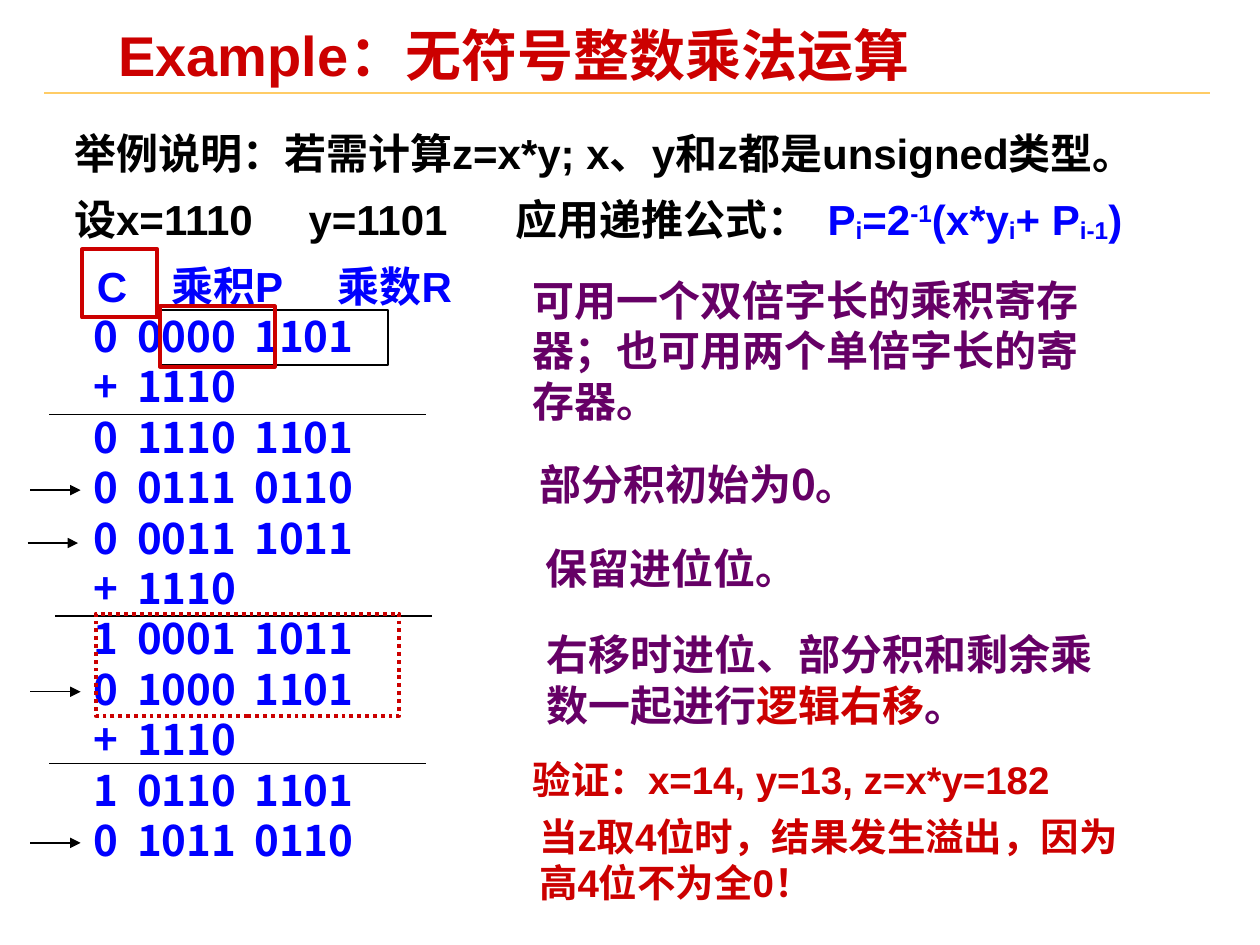
from pptx import Presentation
from pptx.dml.color import RGBColor
from pptx.enum.dml import MSO_LINE
from pptx.enum.shapes import MSO_CONNECTOR, MSO_SHAPE
from pptx.enum.text import MSO_AUTO_SIZE
from pptx.oxml.ns import qn
from pptx.util import Inches, Pt
from lxml.etree import SubElement

BLACK = RGBColor(0, 0, 0)
RED = RGBColor(0xCC, 0, 0)
BLUE = RGBColor(0, 0, 0xFF)
PURPLE = RGBColor(0x66, 0, 0x66)
GOLD = RGBColor(0xFF, 0xCC, 0x66)
ARIAL = "Arial"
TIMES = "Times New Roman"
CJK = "Noto Sans CJK SC"


class Board:
    def __init__(self, slide):
        self.s = slide

    def box(self, x, y, w, h, pad=(0.1, 0.05), wrap=True):
        tf = self.s.shapes.add_textbox(*map(Inches, (x, y, w, h))).text_frame
        tf.margin_left = tf.margin_right = Inches(pad[0])
        tf.margin_top = tf.margin_bottom = Inches(pad[1])
        tf.word_wrap = wrap
        tf.auto_size = MSO_AUTO_SIZE.SHAPE_TO_FIT_TEXT
        return tf

    def para(self, tf, runs, size=24, font=ARIAL, color=BLACK, before=0, tabs=()):
        p = tf.paragraphs[0]
        if p.runs:
            p = tf.add_paragraph()
        p.space_before = Pt(before)
        if tabs:
            stops = SubElement(p._p.get_or_add_pPr(), qn("a:tabLst"))
            for pos in tabs:
                SubElement(stops, qn("a:tab"), pos=str(Inches(pos)), algn="l")
        f = p.font
        f.size, f.bold, f.name = Pt(size), True, font
        f.color.rgb = color
        for text, tint, shift in runs:
            r = p.add_run()
            r.text = text
            if tint is not None:
                r.font.color.rgb = tint
            if shift:
                r.font._element.set("baseline", str(shift * 1000))
        return p

    def note(self, x, y, w, h, *runs, wrap=True, **style):
        return self.para(self.box(x, y, w, h, wrap=wrap), runs, **style)

    def line(self, x1, y1, x2, y2, color=BLACK, width=0.75, arrow=False):
        c = self.s.shapes.add_connector(
            MSO_CONNECTOR.STRAIGHT, *map(Inches, (x1, y1, x2, y2)))
        c.line.color.rgb = color
        c.line.width = Pt(width)
        if arrow:
            SubElement(c.line._get_or_add_ln(), qn("a:tailEnd"), type="triangle")
        SubElement(c._element.spPr, qn("a:effectLst"))

    def frame(self, x, y, w, h, color=RED, width=2.25, dash=None):
        sp = self.s.shapes.add_shape(
            MSO_SHAPE.RECTANGLE, *map(Inches, (x, y, w, h)))
        sp.shadow.inherit = False
        sp.fill.background()
        sp.line.color.rgb = color
        sp.line.width = Pt(width)
        if dash:
            sp.line.dash_style = dash


def plain(text, color=None):
    return text, color, 0


def main():
    prs = Presentation()
    prs.slide_width, prs.slide_height = Inches(10), Inches(7.5)
    b = Board(prs.slides.add_slide(prs.slide_layouts[6]))

    b.line(0.35, 0.74, 9.6, 0.74, GOLD, 1)
    title = b.box(0.87, 0.21, 6.64, 0.52, pad=(0.07, 0.03))
    p = b.para(title, [plain("Example：无符号整数乘法运算")], size=32, color=RED)
    p.line_spacing = 0.87

    work = b.box(0.49, 0.96, 9.51, 5.96)
    b.para(work, [plain("举例说明：若需计算z=x*y; x、y和z都是unsigned类型。")], before=15)
    formula = [("P", 0), ("i", -10), ("=2", 0), ("-1", 30), ("(x*y", 0),
               ("i", -10), ("+ P", 0), ("i-1", -10), (")", 0)]
    b.para(work, [plain("设x=1110\ty=1101\t应用递推公式：\t")]
           + [(text, BLUE, shift) for text, shift in formula],
           before=9, tabs=(1.86, 3.5, 5.98))
    b.para(work, [plain("\tC\t乘积P\t乘数R")],
           color=BLUE, before=9, tabs=(0.18, 0.77, 2.09))
    steps = ["0 0000 1101", "+ 1110", "0 1110 1101", "0 0111 0110",
             "0 0011 1011", "+ 1110", "1 0001 1011", "0 1000 1101",
             "+ 1110", "1 0110 1101", "0 1011 0110"]
    for step in steps:
        b.para(work, [plain("\t" + "\t".join(step.split()))],
               font=CJK, color=BLUE, tabs=(0.15, 0.5, 1.43))

    for x, y in ((0.39, 3.29), (0.44, 4.89), (0.39, 6.06)):
        b.line(x, y, x + 2.99, y)
    for x, y in ((0.24, 3.89), (0.22, 4.31), (0.24, 5.49), (0.24, 6.69)):
        b.line(x, y, x + 0.4, y, arrow=True)

    b.note(4.13, 2.13, 4.53, 1.3,
           plain("可用一个双倍字长的乘积寄存器；也可用两个单倍字长的寄存器。"),
           font=TIMES, color=PURPLE, before=15)
    b.frame(1.27, 2.46, 1.81, 0.44, BLACK, 1)
    b.note(4.18, 3.59, 3.49, 0.5, plain("部分积初始为0。"), font=CJK, color=PURPLE)
    b.frame(1.27, 2.43, 0.91, 0.48)
    b.note(4.23, 4.26, 2.2, 0.5, plain("保留进位位。"),
           wrap=False, font=TIMES, color=PURPLE)
    b.frame(0.65, 1.98, 0.6, 0.54)
    b.note(4.24, 4.94, 4.6, 0.9, plain("右移时进位、部分积和剩余乘数一起进行"),
           plain("逻辑右移", RED), plain("。"), font=TIMES, color=PURPLE)
    b.frame(0.76, 4.87, 2.41, 0.81, dash=MSO_LINE.ROUND_DOT)
    b.note(4.13, 5.95, 5.14, 0.47, plain("验证：x=14, y=13, z=x*y=182"),
           size=22, color=RED, before=13.8)
    b.note(4.18, 6.4, 4.82, 0.84,
           plain("当z取4位时，结果发生溢出，因为高4位不为全0！"),
           size=22, color=RED, before=13.8)
    prs.save("out.pptx")


if __name__ == "__main__":
    main()
